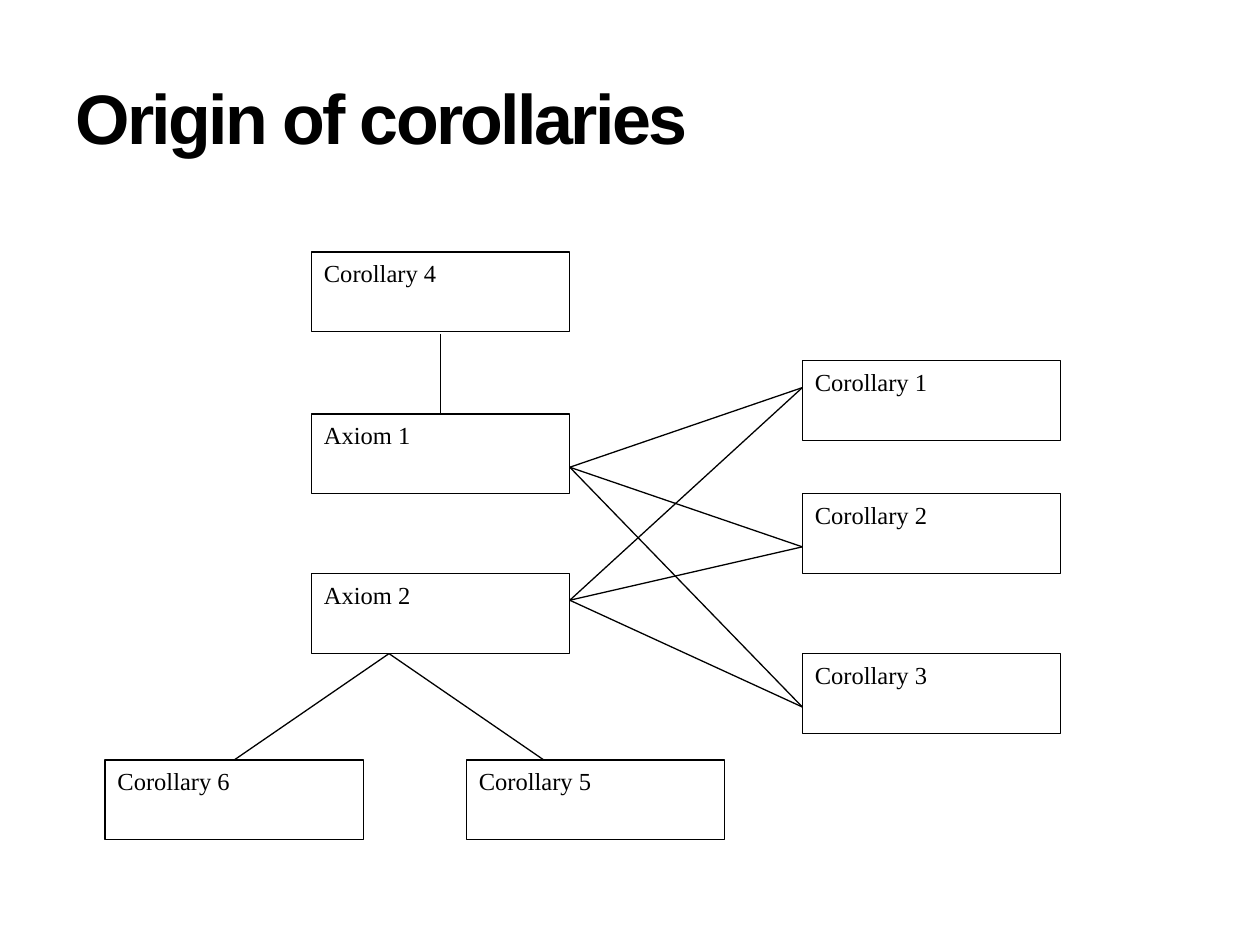
from pptx import Presentation
from pptx.dml.color import RGBColor
from pptx.enum.shapes import MSO_CONNECTOR, MSO_SHAPE
from pptx.enum.text import MSO_ANCHOR, PP_ALIGN
from pptx.oxml.ns import qn
from pptx.util import Pt
from lxml import etree


def color(value):
    return RGBColor.from_string(value)


def style_text(tf, text, font, size, anchor):
    tf.word_wrap = True
    tf.vertical_anchor = anchor
    tf.text = text
    p = tf.paragraphs[0]
    p.alignment = PP_ALIGN.LEFT
    r = p.runs[0]
    r.font.name = font
    r.font.size = Pt(size)
    r.font.color.rgb = color("000000")
    return r


prs = Presentation()
prs.slide_width, prs.slide_height = Pt(720), Pt(540)
s = prs.slides.add_slide(prs.slide_layouts[6])

title = s.shapes.add_textbox(Pt(36), Pt(21.6), Pt(648), Pt(90))
r = style_text(title.text_frame, "Origin of corollaries", "Arial", 40, MSO_ANCHOR.MIDDLE)
r.font.bold = True
r._r.get_or_add_rPr().set("spc", "-150")

box_w, box_h = 147.6, 45.6
left_x, right_x = 178, 458.5
boxes = {}
for name, x, y in [
    ("Corollary 4", left_x, 144),
    ("Axiom 1", left_x, 236.6),
    ("Axiom 2", left_x, 327.8),
    ("Corollary 6", 60, 434.3),
    ("Corollary 5", 266.5, 434.3),
    ("Corollary 3", right_x, 373.5),
    ("Corollary 2", right_x, 282.2),
    ("Corollary 1", right_x, 206),
]:
    sp = s.shapes.add_shape(MSO_SHAPE.RECTANGLE, Pt(x), Pt(y), Pt(box_w), Pt(box_h))
    sp.shadow.inherit = False
    sp.fill.solid()
    sp.fill.fore_color.rgb = color("FFFFFF")
    sp.line.color.rgb = color("000000")
    sp.line.width = Pt(0.75)
    style_text(sp.text_frame, name, "Times New Roman", 14, MSO_ANCHOR.TOP)
    boxes[name] = sp

axiom_x = left_x + box_w
fork = (222.3, 373.5)
links = [
    ((251.8, 190.8), (251.8, 236.6), "Axiom 1"),
    (fork, (133.8, 434.3), "Corollary 6"),
    (fork, (310.8, 434.3), None),
]
for axiom_y in (267, 343):
    for corollary_y in (221.5, 312.5, 404):
        links.append(((axiom_x, axiom_y), (right_x, corollary_y), None))

for (x1, y1), (x2, y2), target in links:
    line = s.shapes.add_connector(MSO_CONNECTOR.STRAIGHT, Pt(x1), Pt(y1), Pt(x2), Pt(y2))
    line.line.color.rgb = color("000000")
    line.line.width = Pt(0.75)
    etree.SubElement(line._element.spPr, qn("a:effectLst"))
    if target:
        line.end_connect(boxes[target], 0)

prs.save("out.pptx")
